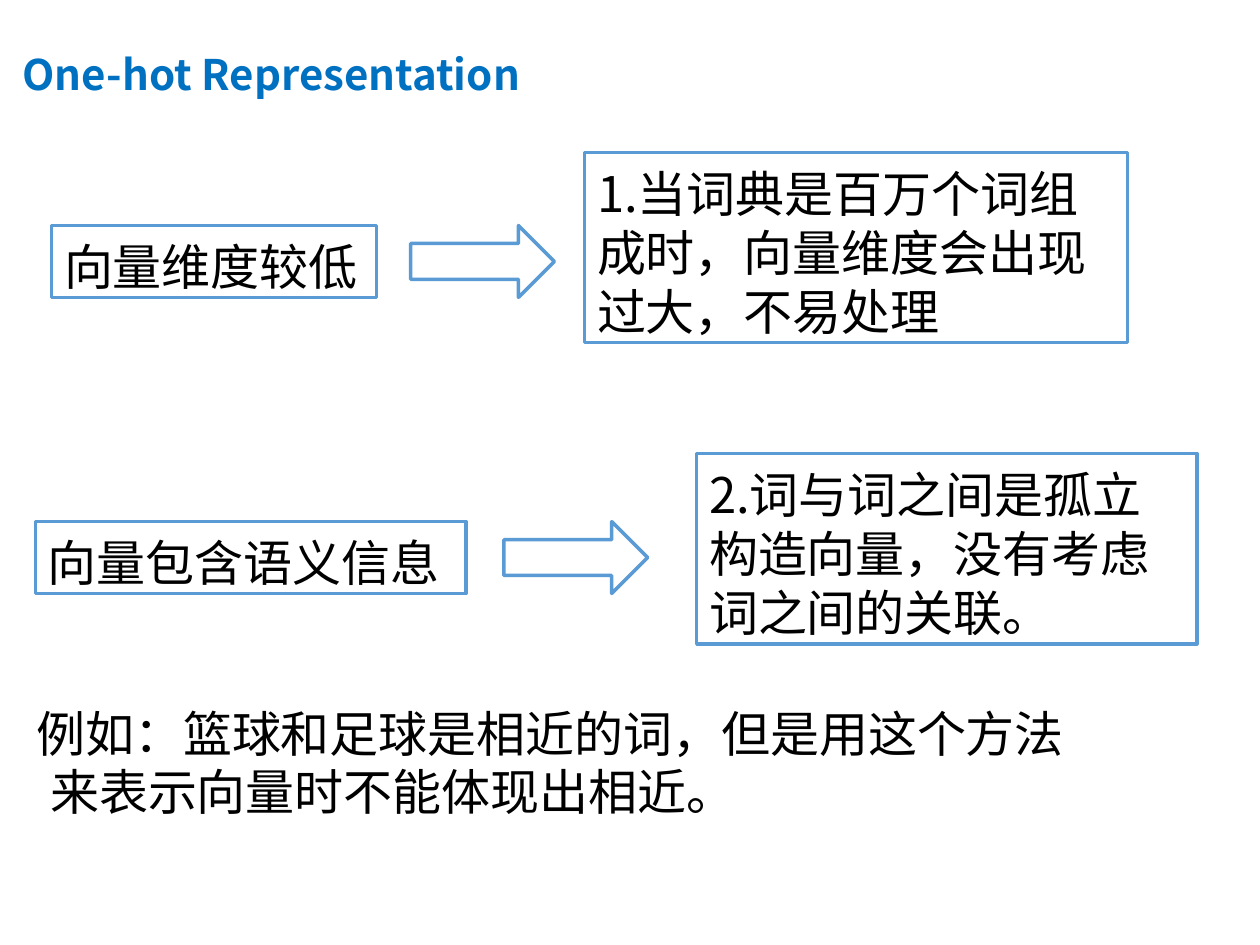
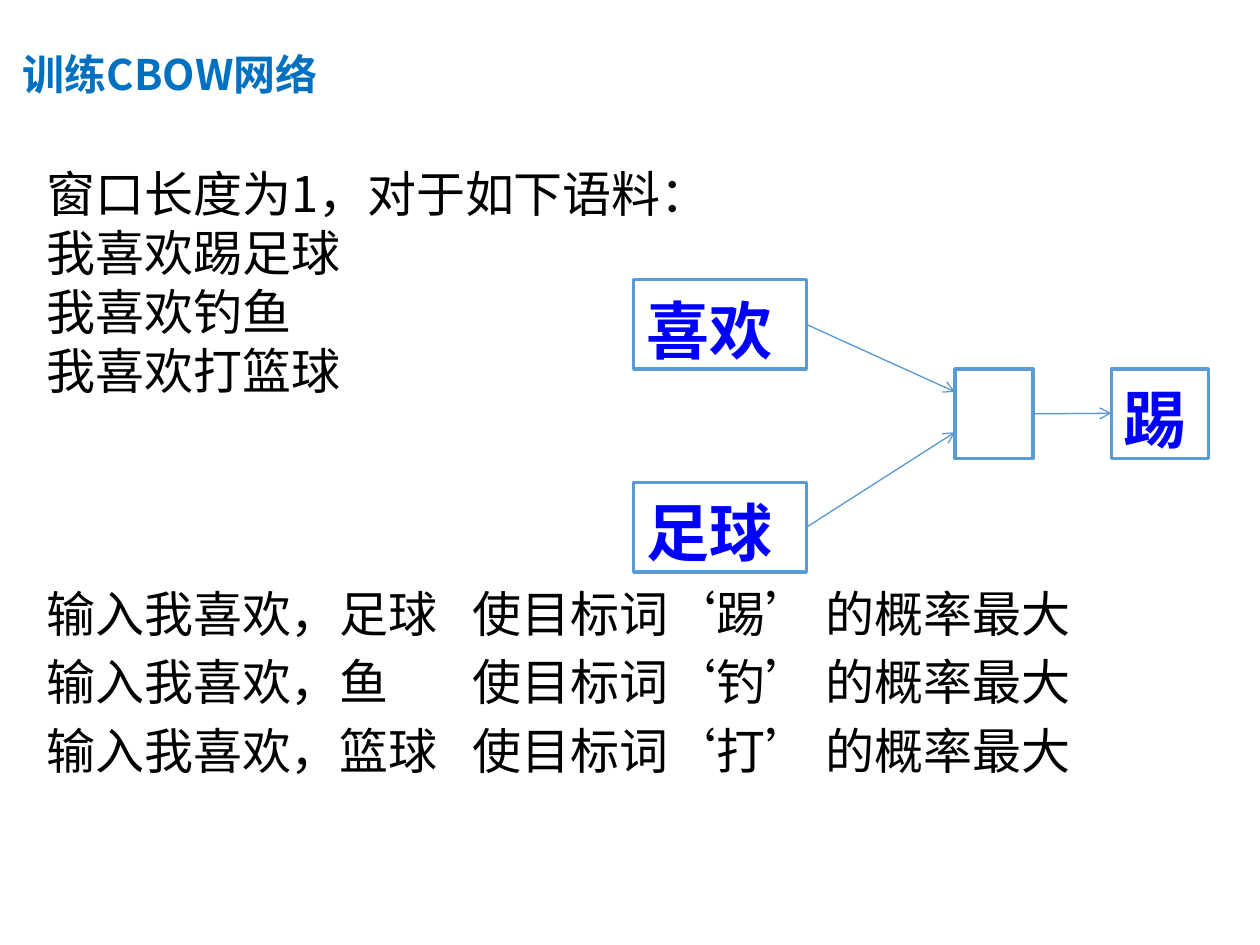
import pptx
import pptx.dml.color
import pptx.enum.shapes
import pptx.enum.text
import pptx.oxml.ns
import pptx.util
from lxml import etree

Inches = pptx.util.Inches
Pt = pptx.util.Pt
SHAPE = pptx.enum.shapes.MSO_SHAPE
ANCHOR = pptx.enum.text.MSO_ANCHOR
qn = pptx.oxml.ns.qn

# Shared look
COLORS = {"title": "0070C0", "text": "000000", "word": "0000FF",
          "box": "FFFFFF", "outline": "5B9BD5", "arrow": "5698D3"}
SANS = "Noto Sans CJK SC"
BODY_STYLE = {"font": SANS, "size": 28, "color": "text", "bold": False}
WORD_STYLE = {"font": "Arial", "size": 36, "color": "word", "bold": True}
TITLE_STYLE = {"font": SANS, "size": 24, "color": "title", "bold": True}
LINE_FACTOR = 1.2

# Slide 1: each claim, an arrow, and the problem with it
ONE_HOT_TITLE = "One-hot Representation"
ARROW_SIZE = (1.14, 0.57)
CLAIMS = [
    {"claim": "向量维度较低", "claim_at": (0.41, 1.79, 2.58, 0.57), "arrow_left": 3.26,
     "problem": "1.当词典是百万个词组成时，向量维度会出现过大，不易处理",
     "problem_at": (4.64, 1.21, 4.31, 1.51)},
    {"claim": "向量包含语义信息", "claim_at": (0.28, 4.14, 3.42, 0.57), "arrow_left": 4,
     "problem": "2.词与词之间是孤立构造向量，没有考虑词之间的关联。",
     "problem_at": (5.53, 3.6, 3.97, 1.51)},
]
EXAMPLE = "例如：篮球和足球是相近的词，但是用这个方法来表示向量时不能体现出相近。"
EXAMPLE_AT = (0, 5.49, 8.89, 1.25)

# Slide 2: corpus, network and training targets
CBOW_TITLE = "训练CBOW网络"
CORPUS = ["窗口长度为1，对于如下语料：", "我喜欢踢足球", "我喜欢钓鱼", "我喜欢打篮球"]
CORPUS_AT = (0.27, 1.21, 6.29, 2.29)
TARGETS = [("足球", "踢"), ("鱼", "钓"), ("篮球", "打")]
TARGETS_AT = (0.27, 4.54, 9.13, 2.2)
TARGET_TAB = 3.38
NODE_HEIGHT = 0.71
NODES = {  # name: (text, left, top, width)
    "first input": ("喜欢", 5.03, 2.22, 1.37),
    "second input": ("足球", 5.03, 3.83, 1.37),
    "hidden": ("", 7.58, 2.93, 0.62),
    "output": ("踢", 8.82, 2.93, 0.77),
}
LINKS = [  # start node, end node, height of the arrow tip
    ("first input", "hidden", 3.11),
    ("second input", "hidden", 3.43),
    ("hidden", "output", 3.28),
]


def rgb(name):
    return pptx.dml.color.RGBColor.from_string(COLORS[name])


def format_runs(paragraph, style):
    for run in paragraph.runs:
        run.font.name = style["font"]
        run.font.size = Pt(style["size"])
        run.font.bold = style["bold"]
        run.font.color.rgb = rgb(style["color"])
        properties = run.font._element
        properties.set("lang", "zh-CN")
        east_asian = etree.Element(qn("a:ea"), typeface=style["font"])
        properties.find(qn("a:latin")).addnext(east_asian)


def write(shape, lines, style, space_after=0):
    frame = shape.text_frame
    frame.word_wrap = True
    frame.vertical_anchor = ANCHOR.TOP
    frame.margin_top = Inches(0.09)
    frame.margin_bottom = Inches(0.01)
    frame.text = "\n".join(lines)
    for paragraph in frame.paragraphs:
        paragraph.alignment = pptx.enum.text.PP_ALIGN.LEFT
        paragraph.line_spacing = Pt(style["size"] * LINE_FACTOR)
        paragraph.space_after = Pt(space_after)
        format_runs(paragraph, style)


def add_text(slide, place, lines, space_after=0):
    box = slide.shapes.add_textbox(*map(Inches, place))
    write(box, lines, BODY_STYLE, space_after)
    return box.text_frame.paragraphs


def add_box(slide, place, text="", style=BODY_STYLE, kind=SHAPE.RECTANGLE):
    shape = slide.shapes.add_shape(kind, *map(Inches, place))
    shape.shadow.inherit = False
    shape.fill.solid()
    shape.fill.fore_color.rgb = rgb("box")
    shape.line.color.rgb = rgb("outline")
    shape.line.width = Pt(2)
    if text:
        write(shape, [text], style)


def add_link(slide, start, end):
    connector = slide.shapes.add_connector(
        pptx.enum.shapes.MSO_CONNECTOR.STRAIGHT, *map(Inches, start + end))
    connector.line.color.rgb = rgb("arrow")
    connector.line.width = Pt(0.75)
    etree.SubElement(connector.line._get_or_add_ln(), qn("a:tailEnd"), type="arrow")
    etree.SubElement(connector._element.spPr, qn("a:effectLst"))


def add_slide(presentation, title_text):
    slide = presentation.slides.add_slide(presentation.slide_layouts[5])
    title = slide.shapes.title
    title.left, title.top, title.width, title.height = map(Inches, (0.08, 0, 9, 1.17))
    title.text_frame.text = title_text
    title.text_frame.vertical_anchor = ANCHOR.MIDDLE
    paragraph = title.text_frame.paragraphs[0]
    paragraph.alignment = pptx.enum.text.PP_ALIGN.LEFT
    format_runs(paragraph, TITLE_STYLE)
    return slide


def build_one_hot(presentation):
    slide = add_slide(presentation, ONE_HOT_TITLE)
    for row in CLAIMS:
        add_box(slide, row["claim_at"], row["claim"])
        add_box(slide, (row["arrow_left"], row["claim_at"][1], *ARROW_SIZE),
                kind=SHAPE.RIGHT_ARROW)
        add_box(slide, row["problem_at"], row["problem"])
    # The second line sits slightly to the right of the first
    paragraph = add_text(slide, EXAMPLE_AT, [EXAMPLE])[0]
    properties = paragraph._p.get_or_add_pPr()
    properties.set("marL", str(Inches(0.3)))
    properties.set("indent", str(Inches(-0.11)))


def build_cbow(presentation):
    slide = add_slide(presentation, CBOW_TITLE)
    add_text(slide, CORPUS_AT, CORPUS)

    # Training targets, aligned on a tab stop
    lines = [f"输入我喜欢，{context}\t使目标词‘{target}’ 的概率最大"
             for context, target in TARGETS]
    for paragraph in add_text(slide, TARGETS_AT, lines, space_after=5.6):
        tabs = etree.SubElement(paragraph._p.get_or_add_pPr(), qn("a:tabLst"))
        etree.SubElement(tabs, qn("a:tab"), pos=str(Inches(TARGET_TAB)), algn="l")

    # Network
    for text, left, top, width in NODES.values():
        add_box(slide, (left, top, width, NODE_HEIGHT), text, WORD_STYLE)
    for start, end, tip_height in LINKS:
        _, left, top, width = NODES[start]
        add_link(slide, (left + width, top + NODE_HEIGHT / 2),
                 (NODES[end][1], tip_height))


def main():
    presentation = pptx.Presentation()
    presentation.slide_width = Inches(10)
    presentation.slide_height = Inches(7.5)
    build_one_hot(presentation)
    build_cbow(presentation)
    presentation.save("out.pptx")


if __name__ == "__main__":
    main()
